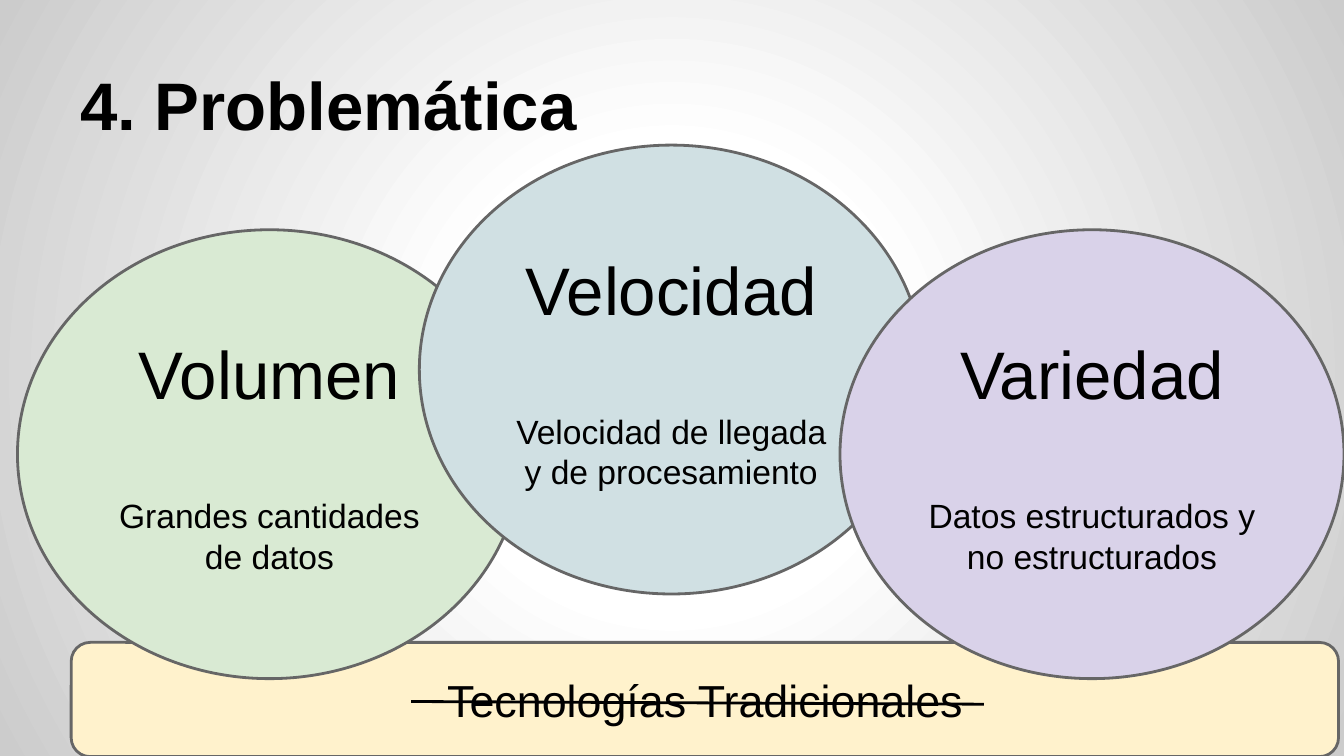
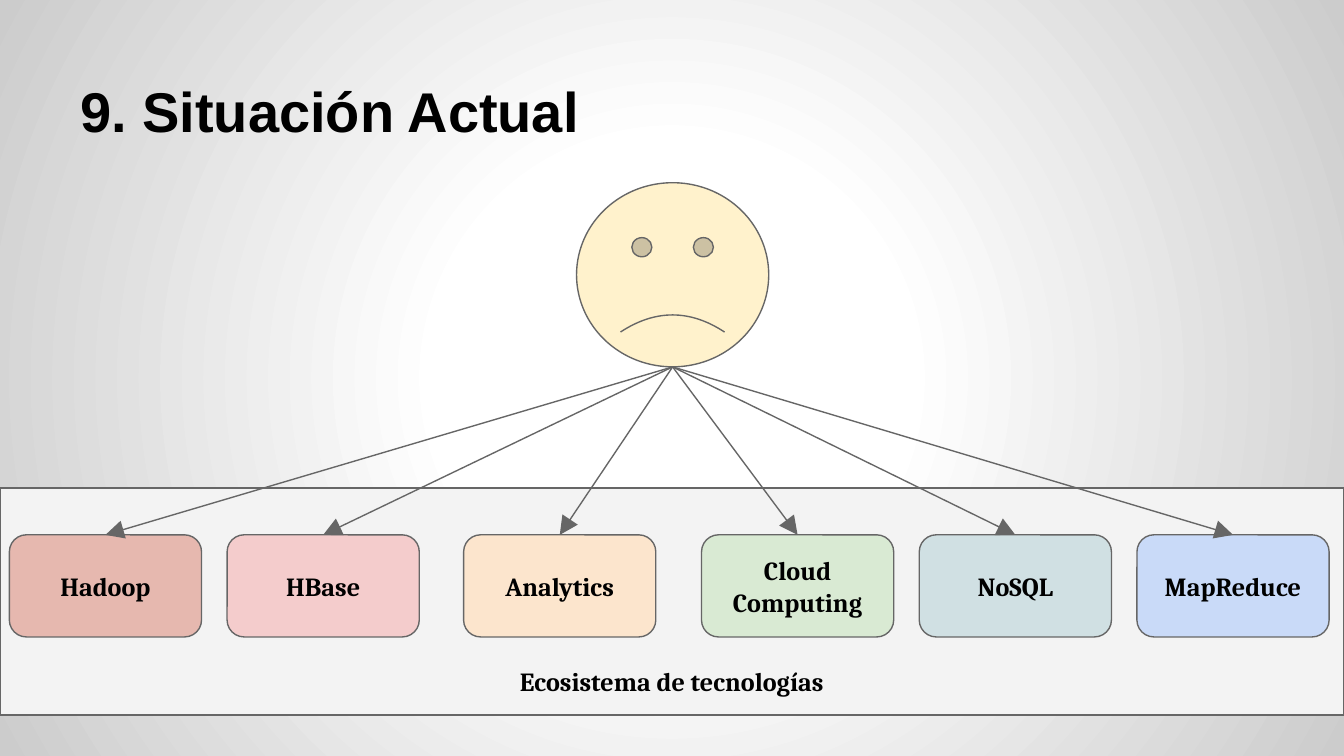
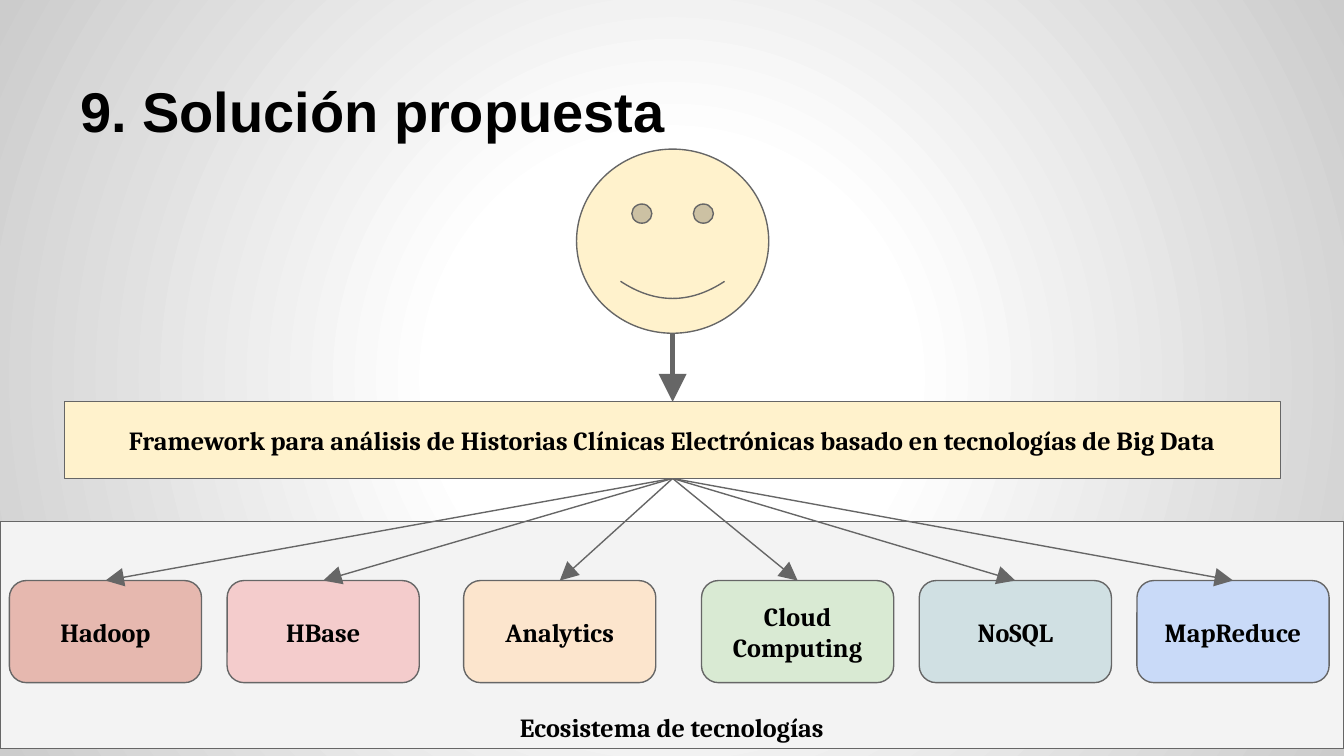
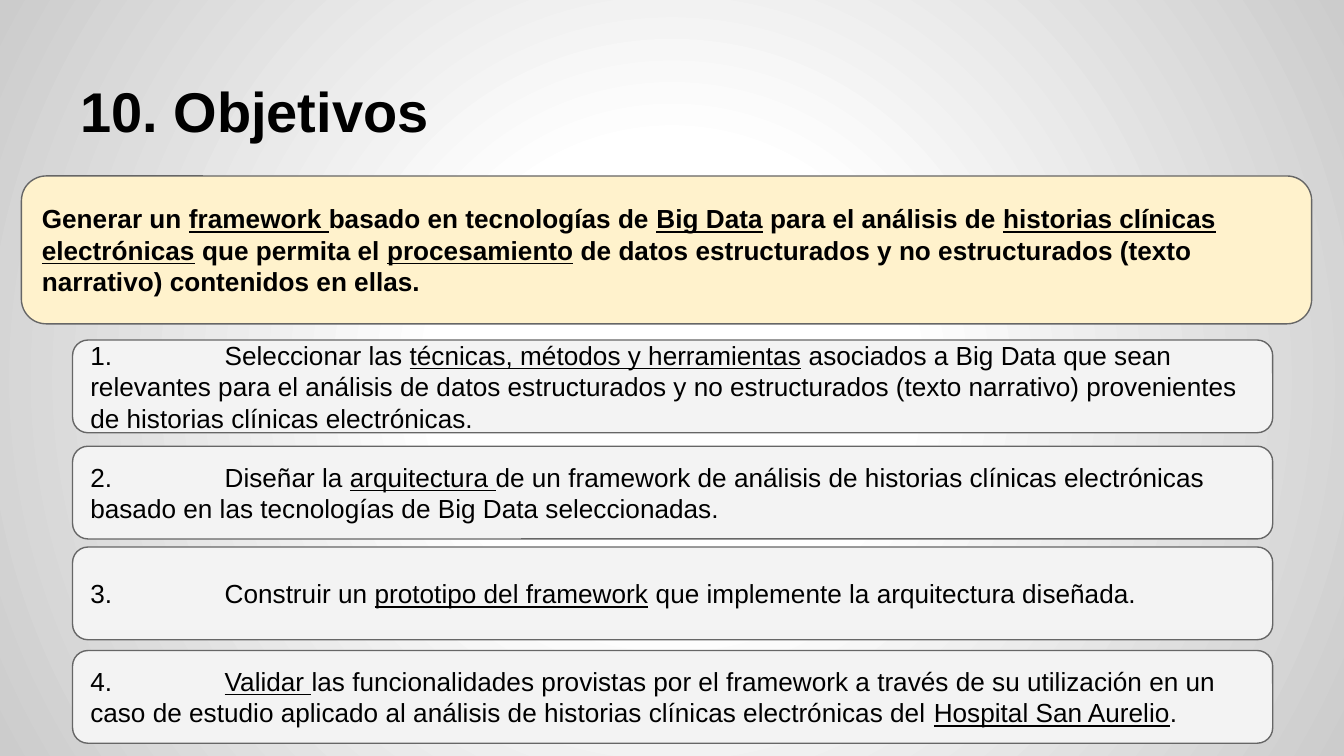
from dataclasses import dataclass

from pptx import Presentation
from pptx import util as u
from pptx.dml.color import RGBColor
from pptx.enum import shapes, text
from pptx.oxml import parse_xml
from pptx.oxml.ns import nsdecls, qn


@dataclass(frozen=True)
class Theme:
    ink: str = "000000"
    outline: str = "666666"
    cream: str = "FFF2CC"
    mist: str = "F3F3F3"
    green: str = "D9EAD3"
    teal: str = "D0E0E3"
    violet: str = "D9D2E9"
    clay: str = "E6B8AF"
    rose: str = "F4CCCC"
    peach: str = "FCE5CD"
    blue: str = "C9DAF8"
    glow: tuple = ((0, "FFFFFF"), (30, "FFFFFF"), (100, "CCCCCC"))
    sans: str = "Arial"
    serif: str = "Cambria"
    hero: int = 36
    heading: int = 30
    banner: int = 24
    detail: int = 18
    body: int = 14
    detail_gap: int = 44
    thin: float = 0.75
    medium: float = 1.5
    thick: float = 3


@dataclass(frozen=True)
class Box:
    left: float
    top: float
    width: float
    height: float

    def inches(self):
        return [u.Inches(n) for n in (self.left, self.top, self.width, self.height)]

    def inner(self, left, top, width, height):
        return Box(self.left + left, self.top + top, width, height)

    @property
    def top_center(self):
        return self.left + self.width / 2, self.top

    @property
    def bottom_center(self):
        return self.left + self.width / 2, self.top + self.height


THEME = Theme()
SHAPE = shapes.MSO_SHAPE
CENTER = text.PP_ALIGN.CENTER
LEFT = text.PP_ALIGN.LEFT

TITLE_BOX = Box(0.5, 0.23, 9, 0.94)
CARD_GAPS = (0.19, 0.33, 0.34, 0.19, 0.19, 0)
TECHNOLOGIES = (
    ("Hadoop", THEME.clay),
    ("HBase", THEME.rose),
    ("Analytics", THEME.peach),
    ("Cloud Computing", THEME.green),
    ("NoSQL", THEME.teal),
    ("MapReduce", THEME.blue),
)
DIMENSIONS = (
    ("Volumen", "Grandes cantidades de datos", THEME.green, 0.13, 1.71),
    ("Velocidad", "Velocidad de llegada y de procesamiento", THEME.teal, 3.12, 1.08),
    ("Variedad", "Datos estructurados y no estructurados", THEME.violet, 6.25, 1.71),
)
GENERAL_GOAL = (
    "Generar un ", "framework ", "basado en tecnologías de ", "Big Data",
    " para el análisis de ", "historias clínicas electrónicas", " que permita el ",
    "procesamiento",
    " de datos estructurados y no estructurados (texto narrativo) contenidos en ellas.",
)
SPECIFIC_GOALS = (
    (2.53, ("Seleccionar las ", "técnicas, métodos y herramientas",
            " asociados a Big Data que sean relevantes para el análisis de datos "
            "estructurados y no estructurados (texto narrativo) provenientes de "
            "historias clínicas electrónicas.")),
    (3.32, ("Diseñar la ", "arquitectura ",
            "de un framework de análisis de historias clínicas electrónicas basado "
            "en las tecnologías de Big Data seleccionadas.")),
    (4.07, ("Construir un ", "prototipo del framework",
            " que implemente la arquitectura diseñada.")),
    (4.84, ("", "Validar ",
            "las funcionalidades provistas por el framework a través de su "
            "utilización en un caso de estudio aplicado al análisis de historias "
            "clínicas electrónicas del ", "Hospital San Aurelio", ".")),
)


def color(value):
    return RGBColor.from_string(value)


def set_frame(shape, anchor):
    frame = shape.text_frame
    frame.word_wrap = True
    frame.vertical_anchor = anchor
    frame.margin_left = frame.margin_right = u.Inches(0.1)
    frame.margin_top = frame.margin_bottom = u.Inches(0.1)
    return frame


def add_span(para, words, size, font=THEME.sans, bold=False, underline=False):
    span = para.add_run()
    span.text = words
    span.font.size = u.Pt(size)
    span.font.name = font
    span.font.bold = bold
    span.font.underline = underline
    span.font.color.rgb = color(THEME.ink)


def add_emphasis(para, parts, bold=False):
    for index, words in enumerate(parts):
        add_span(para, words, THEME.body, bold=bold, underline=index % 2 == 1)


def add_figure(page, kind, box, fill, weight=THEME.thin):
    figure = page.shapes.add_shape(kind, *box.inches())
    figure.shadow.inherit = False
    figure.fill.solid()
    figure.fill.fore_color.rgb = color(fill)
    figure.line.color.rgb = color(THEME.outline)
    figure.line.width = u.Pt(weight)
    return figure


def first_para(shape, align, anchor=text.MSO_ANCHOR.MIDDLE):
    para = set_frame(shape, anchor).paragraphs[0]
    para.alignment = align
    return para


def add_label(page, kind, box, fill, words):
    figure = add_figure(page, kind, box, fill)
    add_span(first_para(figure, CENTER), words, THEME.body, THEME.serif, bold=True)


def add_line(page, start, end, stroke=THEME.outline, weight=THEME.thin, arrow=True):
    points = [u.Inches(n) for n in (*start, *end)]
    line = page.shapes.add_connector(shapes.MSO_CONNECTOR.STRAIGHT, *points)
    line.line.color.rgb = color(stroke)
    line.line.width = u.Pt(weight)
    if arrow:
        line.line._get_or_add_ln().append(parse_xml(
            f'<a:tailEnd {nsdecls("a")} type="triangle" w="lg" len="lg"/>'))
    line._element.spPr.append(parse_xml(f'<a:effectLst {nsdecls("a")}/>'))


def add_title(page, words, size=THEME.heading):
    title = page.shapes.add_textbox(*TITLE_BOX.inches())
    para = first_para(title, LEFT, text.MSO_ANCHOR.BOTTOM)
    add_span(para, words, size, bold=True)


def set_background(master):
    master.background.fill.gradient()
    gradient = master._element.find(".//" + qn("a:gradFill"))
    for child in list(gradient):
        gradient.remove(child)
    stops = "".join(
        f'<a:gs pos="{place * 1000}"><a:srgbClr val="{value}"/></a:gs>'
        for place, value in THEME.glow)
    gradient.append(parse_xml(f'<a:gsLst {nsdecls("a")}>{stops}</a:gsLst>'))
    gradient.append(parse_xml(
        f'<a:path {nsdecls("a")} path="circle">'
        '<a:fillToRect l="50000" t="50000" r="50000" b="50000"/></a:path>'))


def add_dimension(page, box, name, detail, fill):
    circle = add_figure(page, SHAPE.OVAL, box, fill, THEME.medium)
    add_span(first_para(circle, CENTER), name, THEME.hero)
    para = circle.text_frame.add_paragraph()
    para.alignment = CENTER
    para.space_before = u.Pt(THEME.detail_gap)
    add_span(para, detail, THEME.detail)


def add_struck_banner(page, box, words):
    banner = add_figure(page, SHAPE.ROUNDED_RECTANGLE, box, THEME.cream, THEME.medium)
    add_span(first_para(banner, CENTER), words, THEME.banner)


def add_ecosystem(page, box, source, drop):
    add_figure(page, SHAPE.RECTANGLE, box, THEME.mist)
    left = 0.07
    for (name, fill), gap in zip(TECHNOLOGIES, CARD_GAPS):
        card = box.inner(left, drop, 1.43, 0.76)
        add_label(page, SHAPE.ROUNDED_RECTANGLE, card, fill, name)
        add_line(page, source, card.top_center)
        left += card.width + gap
    caption = page.shapes.add_textbox(*box.inner(3.53, drop + 0.87, 2.94, 0.33).inches())
    para = first_para(caption, CENTER, text.MSO_ANCHOR.TOP)
    add_span(para, "Ecosistema de tecnologías", THEME.body, THEME.serif, bold=True)


def add_face(page, box, smile):
    face = add_figure(page, SHAPE.SMILEY_FACE, box, THEME.cream)
    face.adjustments[0] = smile


def add_goal(page, box, number, parts):
    goal = add_figure(page, SHAPE.ROUNDED_RECTANGLE, box, THEME.mist)
    para = first_para(goal, LEFT)
    para._p.get_or_add_pPr().append(parse_xml(
        f'<a:tabLst {nsdecls("a")}><a:tab pos="{u.Inches(1)}" algn="l"/></a:tabLst>'))
    add_emphasis(para, (f"{number}.\t{parts[0]}", *parts[1:]))


def build_problem(page):
    add_struck_banner(page, Box(0.53, 4.78, 9.43, 0.85), "Tecnologías Tradicionales")
    add_title(page, "4. Problemática", THEME.hero)
    for name, detail, fill, left, top in DIMENSIONS:
        add_dimension(page, Box(left, top, 3.75, 3.34), name, detail, fill)
    add_line(page, (3.06, 5.22), (7.32, 5.24), THEME.ink, THEME.medium, arrow=False)


def build_current_state(page):
    face = Box(4.29, 1.36, 1.43, 1.37)
    add_title(page, "9. Situación Actual")
    add_ecosystem(page, Box(0, 3.63, 10, 1.69), face.bottom_center, 0.35)
    add_face(page, face, -0.05)


def build_proposal(page):
    face = Box(4.29, 1.11, 1.43, 1.37)
    framework = Box(0.48, 2.99, 9.05, 0.57)
    add_title(page, "9. Solución propuesta")
    add_ecosystem(page, Box(0, 3.88, 10, 1.69), framework.bottom_center, 0.44)
    add_face(page, face, 0.05)
    add_label(page, SHAPE.RECTANGLE, framework, THEME.cream,
              "Framework para análisis de Historias Clínicas Electrónicas "
              "basado en tecnologías de Big Data")
    add_line(page, face.bottom_center, framework.top_center, weight=THEME.thick)


def build_goals(page):
    add_title(page, "10. Objetivos")
    general = add_figure(page, SHAPE.ROUNDED_RECTANGLE, Box(0.16, 1.31, 9.6, 1.1),
                         THEME.cream)
    add_emphasis(first_para(general, LEFT), GENERAL_GOAL, bold=True)
    for number, (top, parts) in enumerate(SPECIFIC_GOALS, 1):
        add_goal(page, Box(0.54, top, 8.93, 0.69), number, parts)


def main():
    deck = Presentation()
    deck.slide_width = u.Inches(10)
    deck.slide_height = u.Inches(10) * 9 // 16
    set_background(deck.slide_master)
    for build in (build_problem, build_current_state, build_proposal, build_goals):
        build(deck.slides.add_slide(deck.slide_layouts[6]))
    deck.save("out.pptx")


if __name__ == "__main__":
    main()
